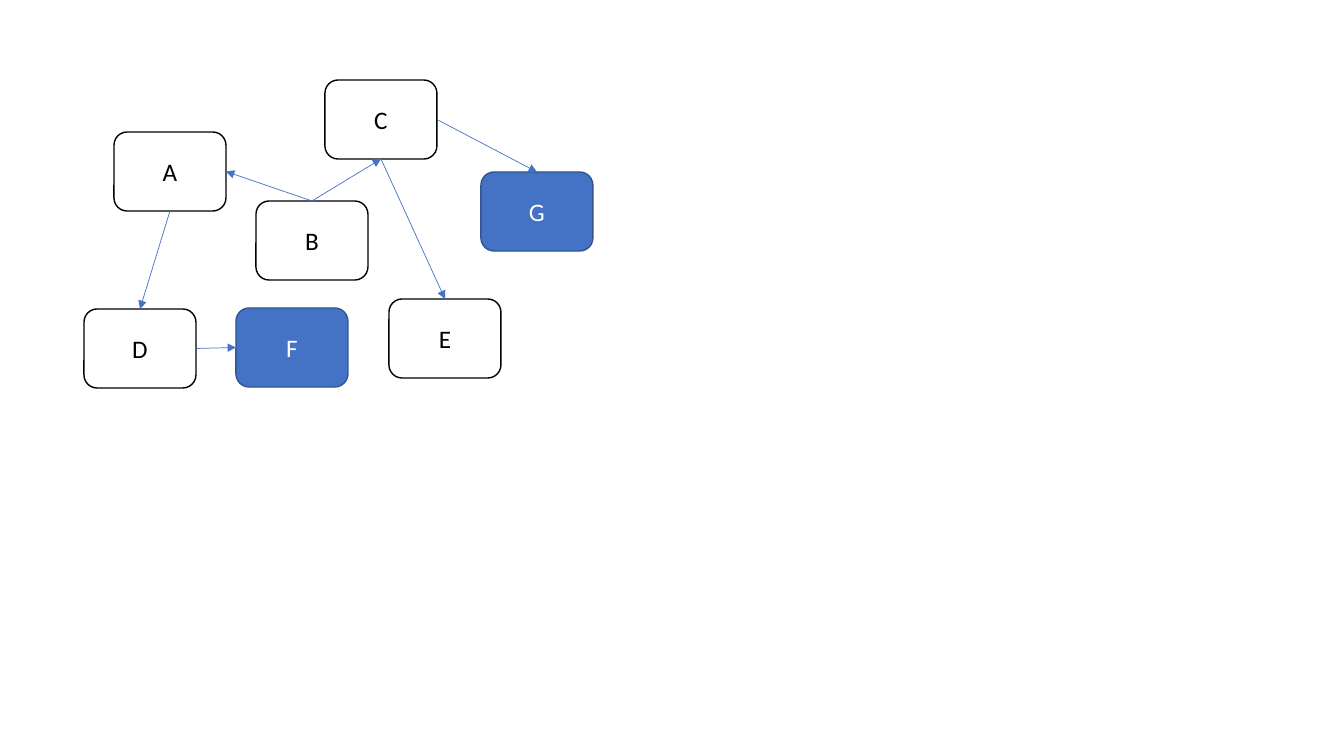
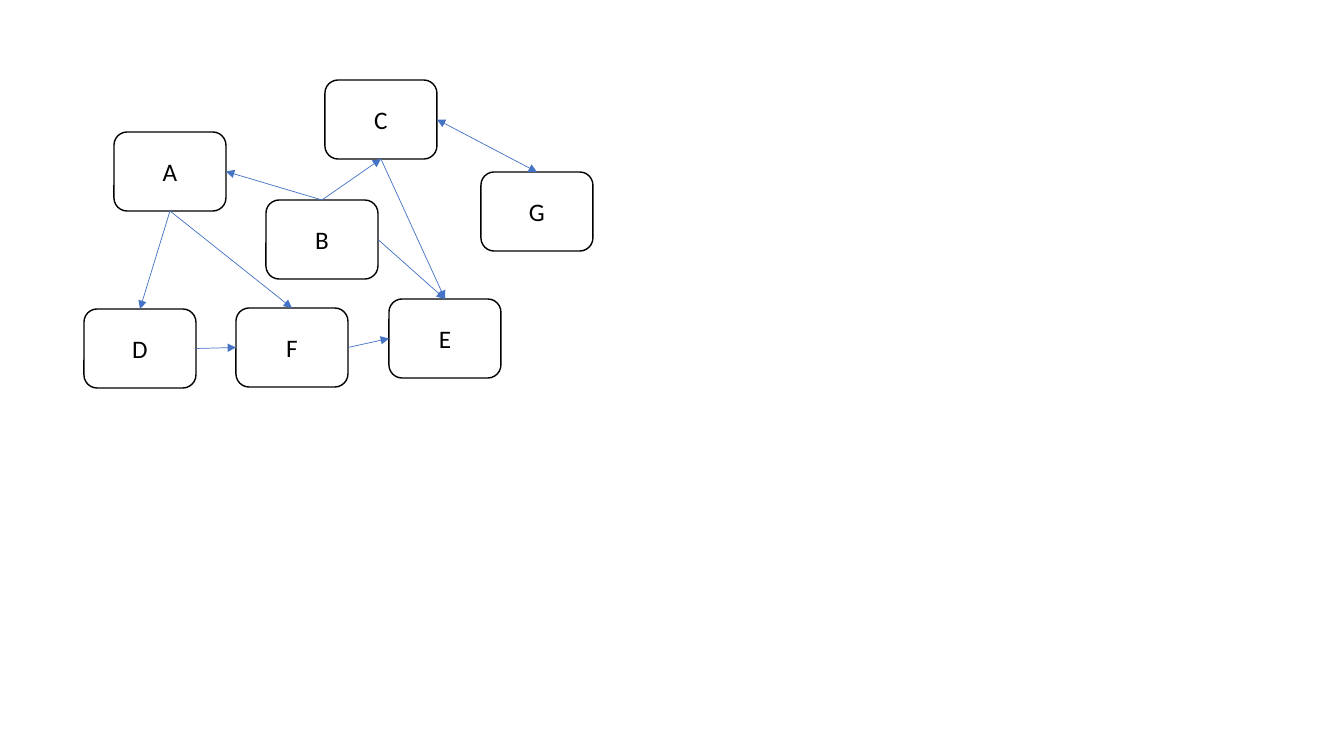
import pptx
import pptx.util
import pptx.dml.color
import pptx.enum.shapes
import pptx.enum.text
import pptx.oxml
import pptx.oxml.ns
import lxml.etree

RGBColor = pptx.dml.color.RGBColor
BLACK = RGBColor(0x00, 0x00, 0x00)
WHITE = RGBColor(0xFF, 0xFF, 0xFF)
BLUE = RGBColor(0x44, 0x72, 0xC4)
DARK_BLUE = RGBColor(0x32, 0x54, 0x91)

FONT = "Calibri"
EMU_PER_PIXEL = 914400 / 100.8
NODE_WIDTH, NODE_HEIGHT = 112, 79
TOP, LEFT, BOTTOM, RIGHT = range(4)

NODE_OFFSETS = {
    "A": (30, 52),
    "C": (241, 0),
    "D": (0, 229),
    "E": (305, 219),
    "B": (172, 121),
    "F": (152, 228),
    "G": (397, 92),
}
SHARED_EDGES = [
    ("B", TOP, "A", RIGHT),
    ("A", BOTTOM, "D", TOP),
    ("B", TOP, "C", BOTTOM),
    ("C", BOTTOM, "E", TOP),
    ("D", RIGHT, "F", LEFT),
    ("C", RIGHT, "G", TOP),
]
ADDED_EDGES = [
    ("F", RIGHT, "E", LEFT),
    ("A", BOTTOM, "F", TOP),
    ("B", RIGHT, "E", TOP),
]


def px(pixels):
    return pptx.util.Emu(round(pixels * EMU_PER_PIXEL))


def add_node(slide, label, left, top, highlighted):
    node = slide.shapes.add_shape(
        pptx.enum.shapes.MSO_SHAPE.ROUNDED_RECTANGLE,
        px(left), px(top), px(NODE_WIDTH), px(NODE_HEIGHT))
    node.shadow.inherit = False
    node.fill.solid()
    node.fill.fore_color.rgb = BLUE if highlighted else WHITE
    node.line.color.rgb = DARK_BLUE if highlighted else BLACK
    node.line.width = pptx.util.Pt(1)
    node.text_frame.vertical_anchor = pptx.enum.text.MSO_ANCHOR.MIDDLE
    paragraph = node.text_frame.paragraphs[0]
    paragraph.alignment = pptx.enum.text.PP_ALIGN.CENTER
    run = paragraph.add_run()
    run.text = label
    run.font.name = FONT
    run.font.size = pptx.util.Pt(18)
    run.font.color.rgb = WHITE if highlighted else BLACK
    return node


def add_edge(slide, source, source_side, target, target_side, two_way):
    edge = slide.shapes.add_connector(
        pptx.enum.shapes.MSO_CONNECTOR.STRAIGHT, 0, 0, 0, 0)
    edge.begin_connect(source, source_side)
    edge.end_connect(target, target_side)
    edge.line.color.rgb = BLUE
    edge.line.width = pptx.util.Pt(0.5)
    outline = edge.line._get_or_add_ln()
    for tag in ("a:headEnd", "a:tailEnd") if two_way else ("a:tailEnd",):
        arrowhead = lxml.etree.SubElement(outline, pptx.oxml.ns.qn(tag))
        arrowhead.set("type", "triangle")
    lxml.etree.SubElement(
        edge._element.spPr, pptx.oxml.ns.qn("a:effectLst"))


def add_graph(slide, left, top, offsets, edges, highlighted="", two_way=()):
    nodes = {
        label: add_node(slide, label, left + x, top + y, label in highlighted)
        for label, (x, y) in offsets.items()
    }
    for source, source_side, target, target_side in edges:
        add_edge(slide, nodes[source], source_side, nodes[target],
                 target_side, (source, target) in two_way)


presentation = pptx.Presentation()
presentation.slide_width = px(1344)
presentation.slide_height = px(756)
blank_layout = presentation.slide_layouts[6]

add_graph(presentation.slides.add_slide(blank_layout), 84, 80,
          NODE_OFFSETS, SHARED_EDGES, highlighted="FG")
add_graph(presentation.slides.add_slide(blank_layout), 84, 80,
          {**NODE_OFFSETS, "B": (182, 120)}, SHARED_EDGES + ADDED_EDGES,
          two_way=[("C", "G")])

presentation.save("out.pptx")
